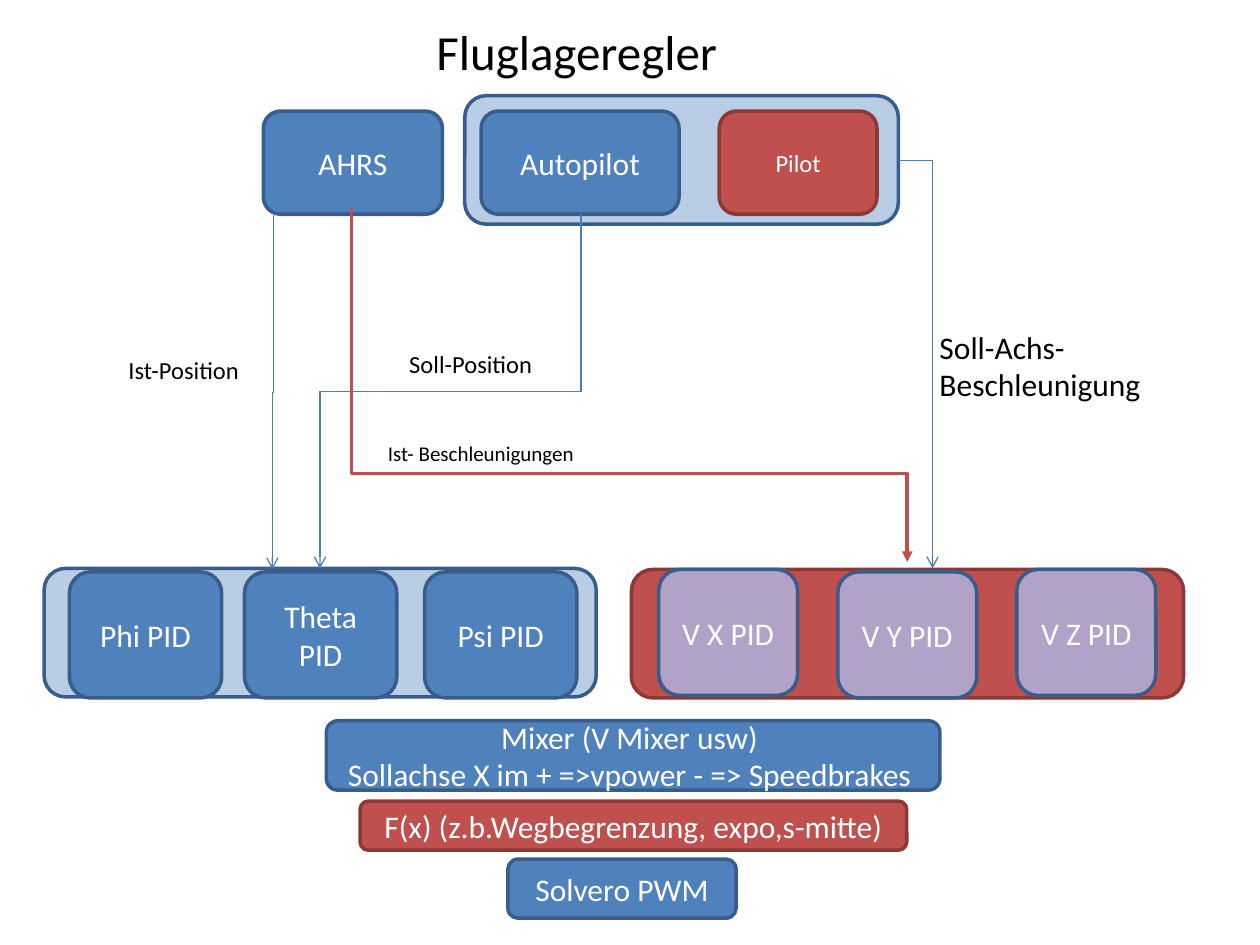
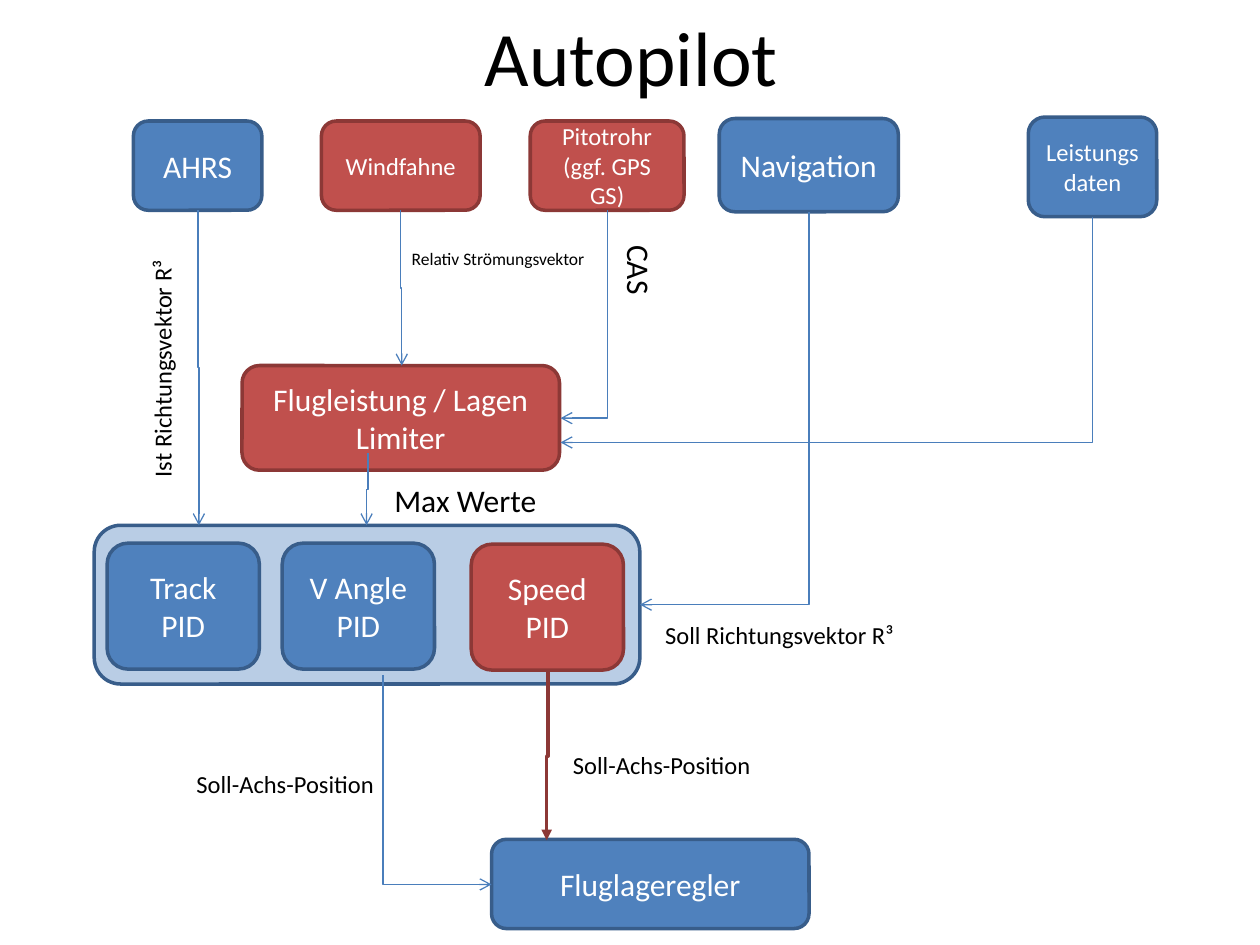
from lxml import etree
from pptx import Presentation
from pptx import util as u
from pptx.dml.color import RGBColor
from pptx.enum import shapes, text
from pptx.oxml import ns

FONT = "Calibri"
COLORS = {
    "blue": "4F81BD", "navy": "385D8A", "pale": "B9CDE5",
    "red": "C0504D", "wine": "8C3836", "lilac": "B3A2C7",
    "wire": "4A7EBB", "white": "FFFFFF", "black": "000000",
}
EDGES = {"blue": "navy", "pale": "navy", "lilac": "navy", "red": "wine"}


def rgb(name):
    return RGBColor.from_string(COLORS[name])


def style(frame, size, color, align):
    for para in frame.paragraphs:
        para.alignment = align
        para.font.size = u.Pt(size)
        for run in para.runs:
            run.font.name = FONT
            run.font.size = u.Pt(size)
            run.font.color.rgb = rgb(color)


def start(deck, words, size, *place):
    slide = deck.slides.add_slide(deck.slide_layouts[5])
    title = slide.shapes.title
    title.left, title.top, title.width, title.height = map(u.Cm, place)
    frame = title.text_frame
    frame.text = words
    frame.vertical_anchor = text.MSO_ANCHOR.MIDDLE
    style(frame, size, "black", text.PP_ALIGN.CENTER)
    return slide


def box(slide, x, y, w, h, fill, words="", size=18):
    shape = slide.shapes.add_shape(
        shapes.MSO_SHAPE.ROUNDED_RECTANGLE, *map(u.Cm, (x, y, w, h)))
    shape.shadow.inherit = False
    shape.fill.solid()
    shape.fill.fore_color.rgb = rgb(fill)
    shape.line.color.rgb = rgb(EDGES[fill])
    shape.line.width = u.Pt(2)
    if words:
        frame = shape.text_frame
        frame.text = words
        frame.word_wrap = True
        frame.vertical_anchor = text.MSO_ANCHOR.MIDDLE
        style(frame, size, "white", text.PP_ALIGN.CENTER)


def label(slide, x, y, w, h, words, size=14, wrap=True, turn=0):
    shape = slide.shapes.add_textbox(*map(u.Cm, (x, y, w, h)))
    shape.rotation = turn
    frame = shape.text_frame
    frame.text = words
    frame.word_wrap = wrap
    frame.auto_size = text.MSO_AUTO_SIZE.SHAPE_TO_FIT_TEXT
    style(frame, size, "black", text.PP_ALIGN.LEFT)


def wire(slide, x1, y1, x2, y2, route="vhv", color="wire", width=0.75,
         head="arrow", bend=0.5):
    long, wide = x2 - x1, y2 - y1
    if route != "hv":
        long, wide = wide, abs(long)
    left, top = (x1 + x2 - long) / 2, (y1 + y2 - wide) / 2
    line = slide.shapes.add_connector(
        shapes.MSO_CONNECTOR.ELBOW,
        *map(u.Cm, (left, top, left + long, top + wide)))
    line.line.color.rgb = rgb(color)
    line.line.width = u.Pt(width)
    props = line._element.spPr
    if route != "hv":
        right = x2 > x1
        props.xfrm.set("rot", str((270 if right else 90) * 60000))
        if right:
            props.xfrm.set("flipH", "1")
    geom = props.find(ns.qn("a:prstGeom"))
    if route == "vhv":
        guides = geom.find(ns.qn("a:avLst"))
        if guides is None:
            guides = etree.SubElement(geom, ns.qn("a:avLst"))
        etree.SubElement(guides, ns.qn("a:gd"), name="adj1",
                         fmla=f"val {round(bend * 100000)}")
    else:
        geom.set("prst", "bentConnector2")
    etree.SubElement(props.find(ns.qn("a:ln")), ns.qn("a:tailEnd"), type=head)
    etree.SubElement(props, ns.qn("a:effectLst"))


def control(deck):
    slide = start(deck, "Fluglageregler", 28, 8.31, 0.05, 6.63, 1.96)
    box(slide, 9.37, 1.93, 8.74, 2.59, "pale")
    box(slide, 0.89, 11.46, 11.13, 2.59, "pale")
    box(slide, 12.73, 11.48, 11.13, 2.59, "red")

    for x, w, fill, words, size in (
            (5.31, 3.61, "blue", "AHRS", 18),
            (9.7, 3.99, "blue", "Autopilot", 18),
            (14.5, 3.18, "red", "Pilot", 14)):
        box(slide, x, 2.24, w, 2.08, fill, words, size)
    for x, name in ((1.4, "Phi"), (4.93, "Theta"), (8.56, "Psi")):
        box(slide, x, 11.53, 3.07, 2.54, "blue", f"{name} PID")
    for i, axis in enumerate("XYZ"):
        y = 11.53 if axis == "Y" else 11.48
        box(slide, 13.28 + i * 3.61, y, 2.8, 2.54, "lilac", f"V {axis} PID")

    mixer = "Mixer (V Mixer usw) \vSollachse X im + =>vpower - => Speedbrakes "
    box(slide, 6.58, 14.53, 12.37, 1.4, "blue", mixer)
    box(slide, 7.26, 16.15, 11.02, 0.99, "red",
        "F(x) (z.b.Wegbegrenzung, expo,s-mitte)")
    box(slide, 10.24, 17.32, 4.6, 1.19, "blue", "Solvero PWM")

    label(slide, 8, 6.91, 5.61, 0.86, "Soll-Position")
    label(slide, 2.34, 7.04, 2.77, 0.86, "Ist-Position", wrap=False)
    label(slide, 18.69, 6.48, 5.59, 1.78, "Soll-Achs-Beschleunigung", 18)
    label(slide, 7.57, 8.76, 4.27, 0.76, "Ist- Beschleunigungen", 12, False)

    wire(slide, 18.11, 3.23, 18.8, 11.46, "hv")
    wire(slide, 11.71, 4.32, 6.45, 11.46)
    wire(slide, 7.09, 4.19, 18.29, 11.33, color="red", width=2,
         head="triangle", bend=0.75)
    wire(slide, 5.51, 4.34, 5.49, 11.48)


def pilot(deck):
    slide = start(deck, "Autopilot", 44, 1.3, -0.46, 22.86, 3.18)
    box(slide, 1.9, 10.59, 11, 3.2, "pale")
    box(slide, 4.88, 7.37, 6.4, 2.11, "red", "Flugleistung / Lagen Limiter")
    box(slide, 9.91, 16.92, 6.4, 1.8, "blue", "Fluglageregler")

    for x, y, w, h, fill, words, size in (
            (2.69, 2.44, 2.59, 1.8, "blue", "AHRS", 18),
            (6.48, 2.44, 3.2, 1.8, "red", "Windfahne", 14),
            (10.69, 2.44, 3.1, 1.8, "red", "Pitotrohr\n(ggf. GPS GS)", 14),
            (14.5, 2.39, 3.61, 1.88, "blue", "Navigation", 18),
            (20.73, 2.36, 2.59, 2.01, "blue", "Leistungsdaten", 14)):
        box(slide, x, y, w, h, fill, words, size)
    for x, y, fill, name in ((2.16, 10.95, "blue", "Track"),
                             (5.69, 10.95, "blue", "V Angle"),
                             (9.5, 10.97, "red", "Speed")):
        box(slide, x, y, 3.07, 2.54, fill, f"{name} PID")

    for x, y, w in ((3.71, 15.37, 5.61), (11.3, 14.99, 7.59)):
        label(slide, x, y, w, 0.86, "Soll-Achs-Position")
    label(slide, 13.16, 12.37, 5.26, 0.86, "Soll Richtungsvektor R³")
    label(slide, 0.64, 6.81, 5.26, 0.86, "Ist Richtungsvektor R³", turn=270)
    label(slide, 7.7, 9.58, 3.4, 1.02, "Max Werte", 18, False)
    label(slide, 8.05, 4.88, 4.01, 0.69, "Relativ Strömungsvektor", 10, False)
    label(slide, 12.14, 4.93, 1.5, 1.02, "CAS", 18, False, 90)

    for ends in ((12.24, 4.24, 11.3, 8.43), (22.02, 4.37, 11.3, 8.92),
                 (16.31, 4.27, 12.9, 12.19), (7.72, 13.61, 9.91, 17.83)):
        wire(slide, *ends, route="vh")
    for ends in ((8.08, 4.24, 8.1, 7.37), (3.99, 4.24, 4.01, 10.59),
                 (7.42, 9.14, 7.39, 10.59)):
        wire(slide, *ends)
    wire(slide, 11.05, 13.54, 11.02, 16.94, color="wine", width=2,
         head="triangle")


def main():
    deck = Presentation()
    deck.slide_width, deck.slide_height = u.Cm(25.4), u.Cm(19.05)
    control(deck)
    pilot(deck)
    deck.save("out.pptx")


if __name__ == "__main__":
    main()
